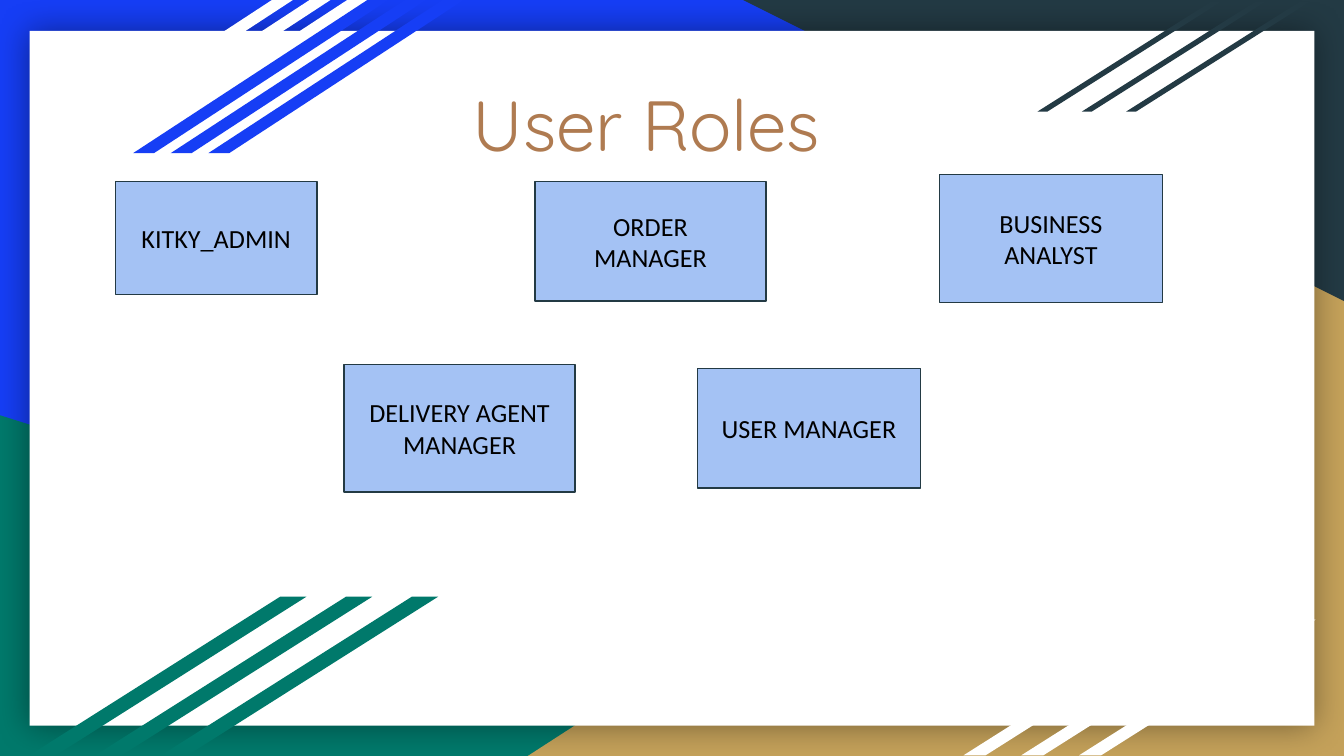
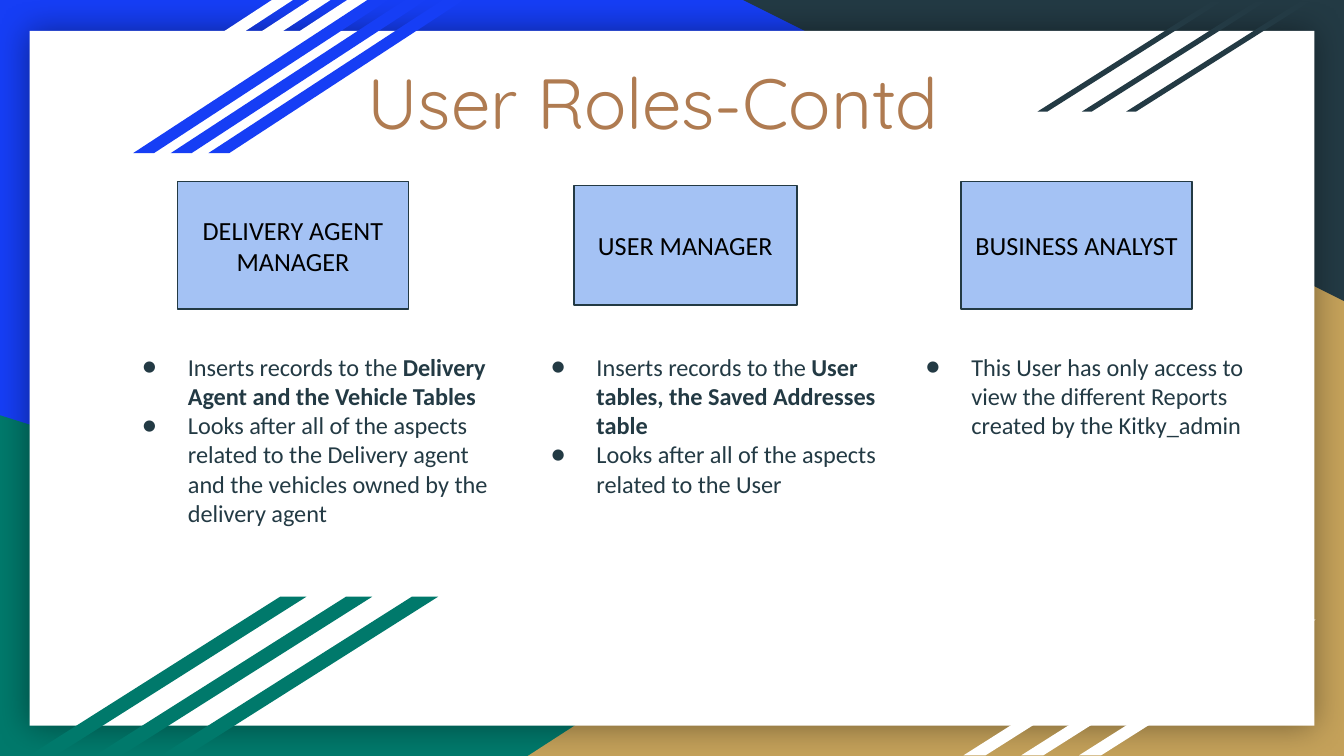
from lxml import etree
from pptx import Presentation
from pptx import util as u
from pptx.dml.color import RGBColor
from pptx.enum import shapes, text
from pptx.oxml.ns import qn

COLOURS = {
    "blue": "163EF5", "green": "00796B", "sand": "C4A15A", "slate": "233A44",
    "white": "FFFFFF", "role": "A4C2F4", "title": "AF7B51", "black": "000000",
}
SLIDE_WIDTH = 10
SLIDE_HEIGHT = SLIDE_WIDTH * 9 / 16
INSET = 0.1
ROLE_TOP = 1.35
DUTY_TOP, DUTY_WIDTH, DUTY_HEIGHT = 2.52, 3, 1.75

# First stripe's box, step to the next stripe, slant, colour
STRIPES = [
    ((0.28, 0, 1.9, 1.14), 0.28, 1.53, "white"),
    ((0.99, 0, 1.9, 1.14), 0.28, 1.53, "blue"),
    ((7.72, 0.01, 1.37, 0.82), 0.33, 1.58, "slate"),
    ((7.17, 4.61, 1.76, 1.01), 0.43, 1.58, "white"),
    ((0.22, 4.44, 2.06, 1.18), 0.49, 1.58, "green"),
]

ROLES = [
    ((0.86, ROLE_TOP, 1.5, 0.84), ["KITKY_ADMIN"]),
    ((3.98, ROLE_TOP, 1.72, 0.89), ["ORDER", "MANAGER"]),
    ((2.56, 2.71, 1.72, 0.95), ["DELIVERY AGENT", "MANAGER"]),
    ((5.19, 2.74, 1.66, 0.89), ["USER MANAGER"]),
    ((6.99, 1.3, 1.66, 0.95), ["BUSINESS ANALYST"]),
]

# Role box, role name, left edge of the duties, duties as (plain, bold) pairs
ROLE_DUTIES = [
    ((1.32, ROLE_TOP, 1.72, 0.95), ["DELIVERY AGENT", "MANAGER"], 0.8, [
        ("Inserts records to the ", "Delivery Agent and the Vehicle Tables"),
        ("Looks after all of the aspects related to the Delivery agent "
         "and the vehicles owned by the delivery agent", ""),
    ]),
    ((4.27, 1.38, 1.66, 0.89), ["USER MANAGER"], 3.84, [
        ("Inserts records to the ", "User tables, the Saved Addresses table"),
        ("Looks after all of the aspects related to the User", ""),
    ]),
    ((7.15, ROLE_TOP, 1.72, 0.95), ["BUSINESS ANALYST"], 6.63, [
        ("This User has only access to view the different Reports "
         "created by the Kitky_admin", ""),
    ]),
]


def rgb(name):
    return RGBColor.from_string(COLOURS[name])


def inches(box):
    return [u.Inches(length) for length in box]


def add_bullet(para, colour, font):
    properties = para._p.get_or_add_pPr()
    properties.set("marL", str(u.Inches(0.5)))
    properties.set("indent", str(u.Inches(-0.34)))
    bullet_colour = etree.SubElement(properties, qn("a:buClr"))
    etree.SubElement(bullet_colour, qn("a:srgbClr"), val=COLOURS[colour])
    etree.SubElement(properties, qn("a:buFont"), typeface=font)
    etree.SubElement(properties, qn("a:buChar"), char="●")


def write(shape, paras, size, colour, font="Calibri", align=text.PP_ALIGN.CENTER,
          anchor=text.MSO_ANCHOR.MIDDLE, bullets=False, bottom=INSET):
    """Fill a shape with paragraphs, each a string or a (plain, bold) pair."""
    frame = shape.text_frame
    frame.word_wrap = True
    frame.vertical_anchor = anchor
    frame.margin_left = frame.margin_right = frame.margin_top = u.Inches(INSET)
    frame.margin_bottom = u.Inches(bottom)
    for index, content in enumerate(paras):
        para = frame.add_paragraph() if index else frame.paragraphs[0]
        para.alignment = align
        if bullets:
            add_bullet(para, colour, font)
        plain, bold = (content, "") if isinstance(content, str) else content
        for words, is_bold in ((plain, False), (bold, True)):
            if words:
                span = para.add_run()
                span.text = words
                span.font.name = font
                span.font.size = u.Pt(size)
                span.font.bold = is_bold
                span.font.color.rgb = rgb(colour)


def add_block(page, kind, box, fill, line=None):
    shape = page.shapes.add_shape(kind, *inches(box))
    shape.shadow.inherit = False
    shape.fill.solid()
    shape.fill.fore_color.rgb = rgb(fill)
    if line:
        shape.line.color.rgb = rgb(line)
        shape.line.width = u.Pt(0.75)
    else:
        shape.line.fill.background()
    return shape


def add_glow(shape):
    """Give the shape a soft dark shadow on all sides."""
    effects = shape.element.spPr.find(qn("a:effectLst"))
    shadow = etree.SubElement(effects, qn("a:outerShdw"), blurRad=str(u.Pt(18)),
                              dist="0", dir="0", algn="ctr", rotWithShape="0")
    colour = etree.SubElement(shadow, qn("a:srgbClr"), val=COLOURS["black"])
    etree.SubElement(colour, qn("a:alpha"), val="40000")


def add_stripes(page, box, step, slant, colour, count=3):
    left, top, width, height = box
    for index in reversed(range(count)):
        stripe = add_block(page, shapes.MSO_SHAPE.PARALLELOGRAM,
                           (left + index * step, top, width, height), colour)
        stripe.adjustments[0] = slant


def add_backdrop(page):
    page.background.fill.solid()
    page.background.fill.fore_color.rgb = rgb("blue")
    triangle = shapes.MSO_SHAPE.RIGHT_TRIANGLE
    add_block(page, triangle, (0, 3.09, 8.06, 2.54), "green")
    sand = add_block(page, triangle, (3.92, 1.7, 6.08, 3.93), "sand")
    sand.element.spPr.find(qn("a:xfrm")).set("flipH", "1")
    add_block(page, triangle, (5.53, 0, 4.47, 2.24), "slate").rotation = 180
    add_glow(add_block(page, shapes.MSO_SHAPE.RECTANGLE,
                       (0.22, 0.23, 9.56, 5.17), "white"))
    for stripes in STRIPES:
        add_stripes(page, *stripes)


def add_title(page, box, words, bottom=INSET):
    write(page.shapes.add_textbox(*inches(box)), [words], size=38,
          colour="title", font="Quicksand", bottom=bottom)


def add_role(page, box, lines):
    role = add_block(page, shapes.MSO_SHAPE.RECTANGLE, box, "role", line="slate")
    write(role, lines, size=14, colour="black")


def add_duties(page, box, duties):
    write(page.shapes.add_textbox(*inches(box)), duties, size=13, colour="slate",
          align=text.PP_ALIGN.LEFT, anchor=text.MSO_ANCHOR.TOP, bullets=True)


def add_page(deck):
    page = deck.slides.add_slide(deck.slide_layouts[6])
    add_backdrop(page)
    return page


def build_roles(deck):
    page = add_page(deck)
    add_title(page, (2.12, 0.21, 5.38, 1.41), "User Roles")
    for box, lines in ROLES:
        add_role(page, box, lines)


def build_role_duties(deck):
    page = add_page(deck)
    add_title(page, (1.93, 0.27, 5.86, 1.58), "User Roles-Contd", bottom=0.72)
    for box, lines, left, duties in ROLE_DUTIES:
        add_role(page, box, lines)
        add_duties(page, (left, DUTY_TOP, DUTY_WIDTH, DUTY_HEIGHT), duties)


def main():
    deck = Presentation()
    deck.slide_width, deck.slide_height = inches((SLIDE_WIDTH, SLIDE_HEIGHT))
    build_roles(deck)
    build_role_duties(deck)
    deck.save("out.pptx")


if __name__ == "__main__":
    main()
